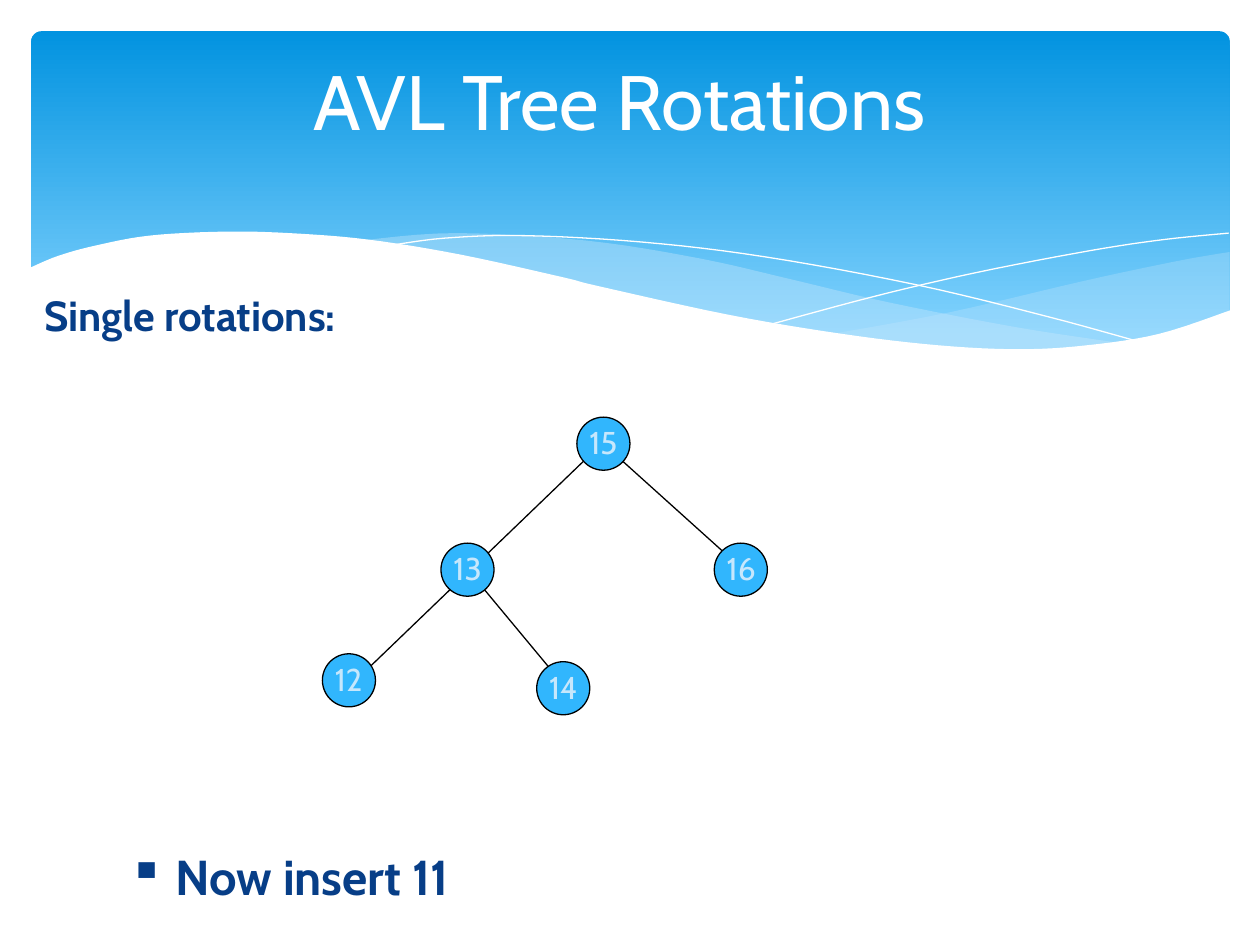
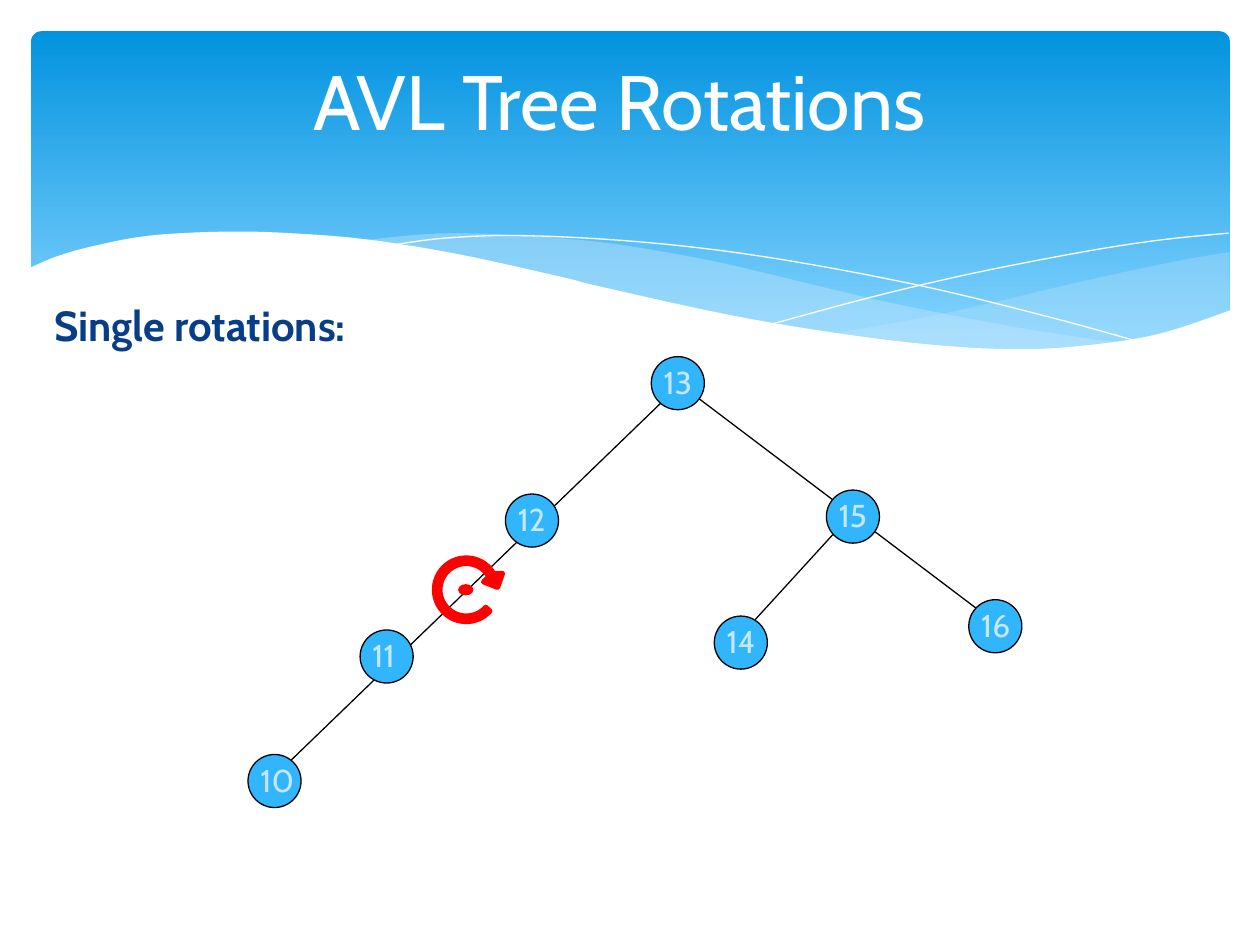
import math

from lxml import etree
from pptx import Presentation
from pptx import util as u
from pptx.dml.color import RGBColor
from pptx.enum import shapes, text
from pptx.oxml import ns

# Content: all positions are in centimetres
TITLE = "AVL Tree Rotations"
HEADING = "Single rotations:"
SLIDES = [
    {
        "heading_at": (0.64, 5.72),
        "nodes": [("13", 8.89, 10.95), ("15", 11.63, 8.41), ("16", 14.4, 10.95),
                  ("12", 6.5, 13.18), ("14", 10.82, 13.34)],
        "branches": [(9.32, 11.35, 11.43, 13.89), (6.99, 13.89, 12.27, 8.81),
                     (12.5, 9.25, 14.61, 11.15)],
        "instruction": "Now insert 11",
    },
    {
        "heading_at": (0.84, 5.92),
        "nodes": [("13", 13.13, 7.19), ("15", 16.66, 9.88), ("16", 19.53, 12.09),
                  ("12", 10.19, 9.96), ("14", 14.4, 12.42), ("11", 7.26, 12.7),
                  ("10", 5, 15.21)],
        "branches": [(17.17, 10.36, 15.06, 12.67), (5.51, 15.67, 13.69, 7.77),
                     (13.54, 7.62, 19.69, 12.27)],
        "rotation_at": (9.4, 11.89),
    },
]

# Shared look
FONT = "Cabin"
WHITE = RGBColor(0xFF, 0xFF, 0xFF)
BLACK = RGBColor(0, 0, 0)
NAVY = RGBColor(0x07, 0x3E, 0x87)
NODE_BLUE = RGBColor(0x31, 0xB6, 0xFD)
PALE_BLUE = RGBColor(0xC6, 0xE7, 0xFC)
BAND_TOP = RGBColor(0x02, 0x93, 0xE0)
BAND_BOTTOM = RGBColor(0x83, 0xD3, 0xFE)
RED = RGBColor(0xFF, 0, 0)
NODE_SIZE = 1.07
THIN = 0.75

# Each wave is a list of edges; every edge is a smooth curve through its knots
RIGHT_WAVE = [
    [(24.79, 5.08), (23.75, 5.26), (21.87, 5.66), (19.13, 6.3), (16.79, 6.73)],
    [(16.79, 6.73), (18.26, 6.91), (20.4, 7.06), (22.38, 6.93), (23.75, 6.65),
     (24.79, 6.27)],
]
MIDDLE_WAVE = [
    [(22.68, 6.93), (20.5, 6.6), (17.93, 6.1), (15.98, 5.64), (14.1, 5.21),
     (11.81, 4.85), (9.17, 4.7), (7.26, 4.85)],
    [(7.26, 4.85), (9.19, 5.16), (11.4, 5.64), (14.38, 6.3), (16.89, 6.76),
     (19, 7.01), (20.78, 7.06), (22.68, 6.93)],
]
FALLING_LINE = [
    [(7.85, 4.95), (8.97, 4.8), (10.57, 4.75), (12.95, 4.88), (15.44, 5.18),
     (18.47, 5.74), (21.11, 6.38), (23.04, 6.91)],
]
RISING_LINE = [
    [(15.57, 6.53), (17.65, 5.97), (19.71, 5.49), (22, 5.05), (23.47, 4.83),
     (24.77, 4.7)],
]
WHITE_WAVE = [
    [(24.82, 6.25), (23.37, 6.73), (21.92, 6.96), (20.55, 7.04), (18.9, 6.96),
     (16.97, 6.73), (14.71, 6.35), (12.07, 5.77), (11.35, 5.59), (9.27, 5.13),
     (7.42, 4.83), (5.84, 4.7), (4.5, 4.67), (3.02, 4.75), (1.93, 4.95),
     (1.17, 5.16), (0.58, 5.41)],
    [(0.58, 8.36), (24.82, 8.36)],
]


def smooth(knots, steps=6):
    """Points of a Catmull-Rom curve through the knots."""
    padded = [knots[0], *knots, knots[-1]]
    points = [knots[0]]
    for a, b, c, d in zip(padded, padded[1:], padded[2:], padded[3:]):
        for step in range(1, steps + 1):
            t = step / steps
            points.append(tuple(
                (2 * q + (r - p) * t + (2 * p - 5 * q + 4 * r - s) * t ** 2
                 + (3 * q - p - 3 * r + s) * t ** 3) / 2
                for p, q, r, s in zip(a, b, c, d)))
    return points


def paint(shape, fill=None, line=None, width=THIN, opacity=None):
    shape.shadow.inherit = False
    if fill is None:
        shape.fill.background()
    else:
        shape.fill.solid()
        shape.fill.fore_color.rgb = fill
    if opacity is not None:
        color = shape._element.spPr.find(ns.qn("a:solidFill"))[0]
        etree.SubElement(color, ns.qn("a:alpha"), val=str(opacity * 1000))
    if line is None:
        shape.line.fill.background()
    else:
        shape.line.color.rgb = line
        shape.line.width = u.Pt(width)


def add_outline(slide, points, closed=True, **look):
    lengths = [(u.Cm(x), u.Cm(y)) for x, y in points]
    builder = slide.shapes.build_freeform(*lengths[0])
    builder.add_line_segments(lengths[1:], close=closed)
    paint(builder.convert_to_shape(), **look)


def add_wave(slide, edges, **look):
    add_outline(slide, [point for edge in edges for point in smooth(edge)], **look)


def add_ellipse(slide, left, top, width, height, **look):
    ellipse = slide.shapes.add_shape(
        shapes.MSO_SHAPE.OVAL, u.Cm(left), u.Cm(top), u.Cm(width), u.Cm(height))
    paint(ellipse, **look)


def add_text(slide, words, box, size, color, bold=False, hanging=0, bullet=None,
             before=0):
    """Add a text box with one run and return its frame."""
    frame = slide.shapes.add_textbox(*map(u.Cm, box)).text_frame
    frame.word_wrap = True
    paragraph = frame.paragraphs[0]
    paragraph.space_before = u.Pt(before)
    properties = paragraph._p.get_or_add_pPr()
    if hanging:
        properties.set("marL", str(u.Cm(hanging)))
        properties.set("indent", str(-u.Cm(hanging)))
    if bullet:
        etree.SubElement(properties, ns.qn("a:buChar"), char=bullet)
    run = paragraph.add_run()
    run.text = words
    run.font.name = FONT
    run.font.size = u.Pt(size)
    run.font.bold = bold
    run.font.color.rgb = color
    return frame


def add_band(slide):
    band = slide.shapes.add_shape(
        shapes.MSO_SHAPE.ROUNDED_RECTANGLE,
        u.Cm(0.63), u.Cm(0.63), u.Cm(24.16), u.Cm(6.86))
    band.adjustments[0] = 0.03
    paint(band)
    band.fill.gradient()
    band.fill.gradient_angle = 270
    stops = zip(band.fill.gradient_stops, (0, 0.9), (BAND_TOP, BAND_BOTTOM))
    for stop, position, color in stops:
        stop.position = position
        stop.color.rgb = color
    add_wave(slide, RIGHT_WAVE, fill=PALE_BLUE, opacity=29)
    add_wave(slide, MIDDLE_WAVE, fill=PALE_BLUE, opacity=40)
    for curve in (FALLING_LINE, RISING_LINE):
        add_wave(slide, curve, closed=False, line=WHITE, width=0)
    add_wave(slide, WHITE_WAVE, fill=WHITE)


def add_title(slide):
    frame = add_text(slide, TITLE, (1.69, 0.42, 21.59, 3.18), 44, WHITE)
    frame.vertical_anchor = text.MSO_ANCHOR.MIDDLE
    frame.paragraphs[0].alignment = text.PP_ALIGN.CENTER


def add_branch(slide, *ends):
    branch = slide.shapes.add_connector(
        shapes.MSO_CONNECTOR.STRAIGHT, *map(u.Cm, ends))
    branch.line.color.rgb = BLACK
    branch.line.width = u.Pt(THIN)
    etree.SubElement(branch._element.spPr, ns.qn("a:effectLst"))


def add_node(slide, key, left, top):
    add_ellipse(slide, left, top, NODE_SIZE, NODE_SIZE, fill=NODE_BLUE, line=BLACK)
    frame = add_text(slide, key, (left, top, 1.27, 1.02), 18, PALE_BLUE)
    frame.auto_size = text.MSO_AUTO_SIZE.SHAPE_TO_FIT_TEXT


def add_rotation_arrow(slide, x, y):
    def arc(radius, angles):
        return [(x + radius * math.cos(math.radians(angle)),
                 y + radius * math.sin(math.radians(angle))) for angle in angles]

    sweep = range(42, 336, 6)
    head = [(x + 0.73, y - 0.33), (x + 0.63, y - 0.05), (x + 0.35, y - 0.16)]
    ring = arc(0.64, sweep) + head + arc(0.53, reversed(sweep))
    add_outline(slide, ring, fill=RED, line=RED, width=3)
    add_ellipse(slide, x - 0.15, y - 0.1, 0.28, 0.2, fill=RED, line=RED)


def build_slide(presentation, content):
    slide = presentation.slides.add_slide(presentation.slide_layouts[6])
    add_band(slide)
    for branch in content["branches"]:
        add_branch(slide, *branch)
    add_title(slide)
    add_text(slide, HEADING, (*content["heading_at"], 23.7, 1.7), 24, NAVY,
             bold=True, hanging=0.76, before=4.8)
    for node in content["nodes"]:
        add_node(slide, *node)
    if "instruction" in content:
        add_text(slide, content["instruction"], (2.34, 16.94, 13.97, 1.7), 28, NAVY,
                 bold=True, hanging=0.95, bullet="▪", before=5.6)
    if "rotation_at" in content:
        add_rotation_arrow(slide, *content["rotation_at"])


def main():
    presentation = Presentation()
    presentation.slide_width = u.Cm(25.4)
    presentation.slide_height = u.Cm(19.05)
    for content in SLIDES:
        build_slide(presentation, content)
    presentation.save("out.pptx")


if __name__ == "__main__":
    main()
